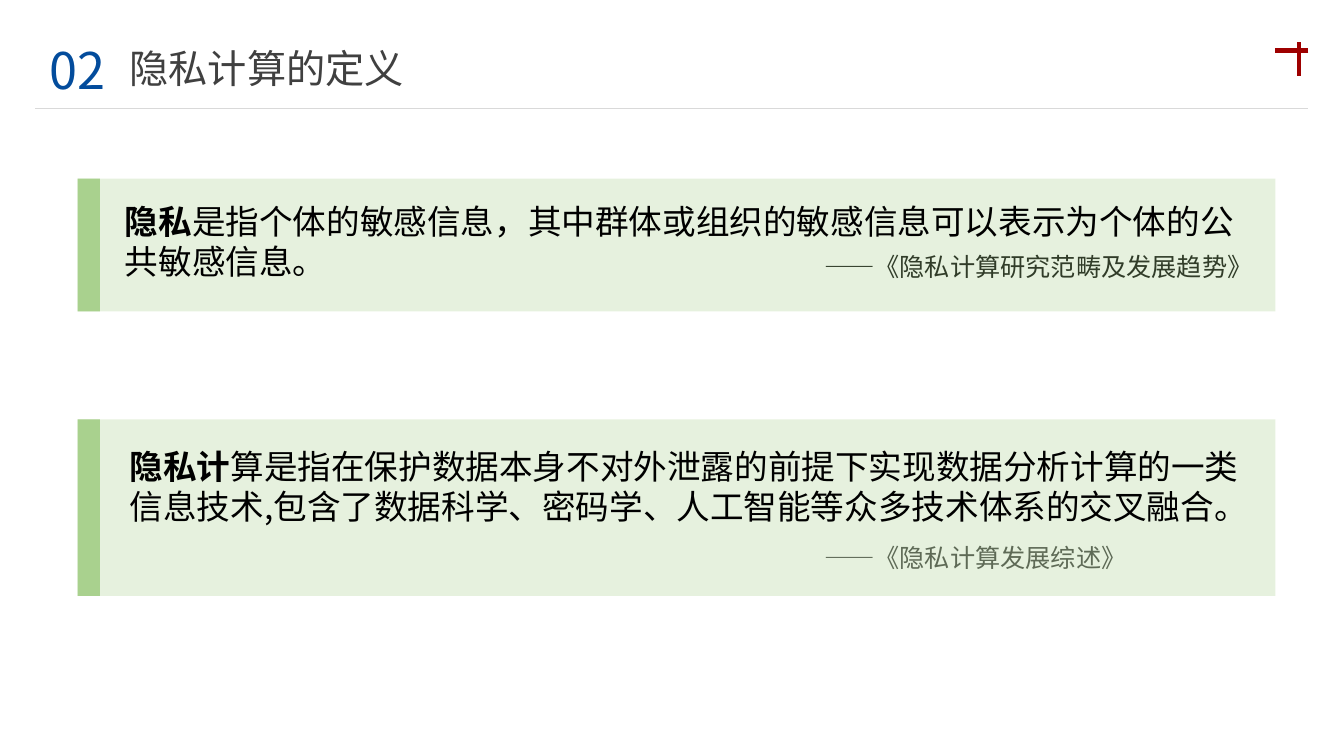
from lxml import etree
from pptx import Presentation
from pptx.dml.color import RGBColor
from pptx.enum import shapes, text
from pptx.oxml.ns import qn
from pptx.util import Cm, Pt

FONT = "Noto Sans CJK SC"
COLOURS = {
    "number": "034C9C",
    "grey": "404040",
    "black": "000000",
    "cross": "9E0000",
    "rule": "D9D9D9",
    "green": "A9D18E",
}


def colour(name):
    return RGBColor.from_string(COLOURS[name])


def add_text(page, place, spans, size, ink, align=text.PP_ALIGN.LEFT, wrap=True):
    """Add a one-paragraph box; spans are (wording, bold) pairs."""
    box = page.shapes.add_textbox(*map(Cm, place))
    frame = box.text_frame
    frame.word_wrap = wrap
    frame.auto_size = text.MSO_AUTO_SIZE.SHAPE_TO_FIT_TEXT
    para = frame.paragraphs[0]
    para.alignment = align
    font = para.font
    font.name, font.size = FONT, Pt(size)
    font.color.rgb = colour(ink)
    latin = font._element.find(qn("a:latin"))
    east_asian = etree.Element(qn("a:ea"), typeface=FONT)
    latin.addnext(east_asian)
    for wording, bold in spans:
        span = para.add_run()
        span.text = wording
        if bold:
            span.font.bold = True


def add_line(parent, start, end, ink, width):
    line = parent.shapes.add_connector(
        shapes.MSO_CONNECTOR.STRAIGHT, *map(Cm, start + end))
    line.line.color.rgb = colour(ink)
    line.line.width = Pt(width)
    etree.SubElement(line._element.spPr, qn("a:effectLst"))


def add_block(group, place, opacity=100):
    block = group.shapes.add_shape(shapes.MSO_SHAPE.RECTANGLE, *map(Cm, place))
    block.shadow.inherit = False
    block.fill.solid()
    block.fill.fore_color.rgb = colour("green")
    block.line.fill.background()
    if opacity < 100:
        tint = block._element.spPr.find(qn("a:solidFill"))[0]
        etree.SubElement(tint, qn("a:alpha"), val=str(opacity * 1000))


def add_panel(page, top, height):
    """Add a pale panel with a solid bar along its left side."""
    panel = page.shapes.add_group_shape()
    add_block(panel, (1.96, top, 30.18, height), opacity=29)
    add_block(panel, (1.96, top, 0.56, height))


def add_header(page):
    add_text(page, (3.02, 0.99, 9.5, 1.45), [("隐私计算的定义", False)], 28, "grey")
    add_text(page, (0.89, 0.86, 2.13, 1.8), [("02", False)], 36, "number",
             align=text.PP_ALIGN.CENTER)
    cross = page.shapes.add_group_shape()
    add_line(cross, (32.74, 1.07), (32.74, 1.91), "cross", 3)
    add_line(cross, (32.97, 1.27), (32.13, 1.27), "cross", 3)
    add_line(page, (0.89, 2.74), (32.97, 2.74), "rule", 0.5)


def add_definition(page, top, height, body_at, term, meaning, source_at, source, ink):
    add_text(page, source_at + (1.02,), [(source, False)], 18, ink, wrap=False)
    add_panel(page, top, height)
    add_text(page, body_at + (29.01, 2.31), [(term, True), (meaning, False)],
             24, "black")


def main():
    deck = Presentation()
    deck.slide_width, deck.slide_height = Cm(33.87), Cm(19.05)
    page = deck.slides.add_slide(deck.slide_layouts[6])
    add_header(page)
    add_definition(
        page, 4.5, 3.35, (2.9, 4.93), "隐私",
        "是指个体的敏感信息，其中群体或组织的敏感信息可以表示为个体的公共敏感信息。",
        (20.52, 6.22, 11.73), "——《隐私计算研究范畴及发展趋势》", "black")
    add_definition(
        page, 10.57, 4.45, (3.02, 11.1), "隐私计",
        "算是指在保护数据本身不对外泄露的前提下实现数据分析计算的一类信息技术,"
        "包含了数据科学、密码学、人工智能等众多技术体系的交叉融合。",
        (20.52, 13.54, 8.2), "——《隐私计算发展综述》", "grey")
    deck.save("out.pptx")


if __name__ == "__main__":
    main()
